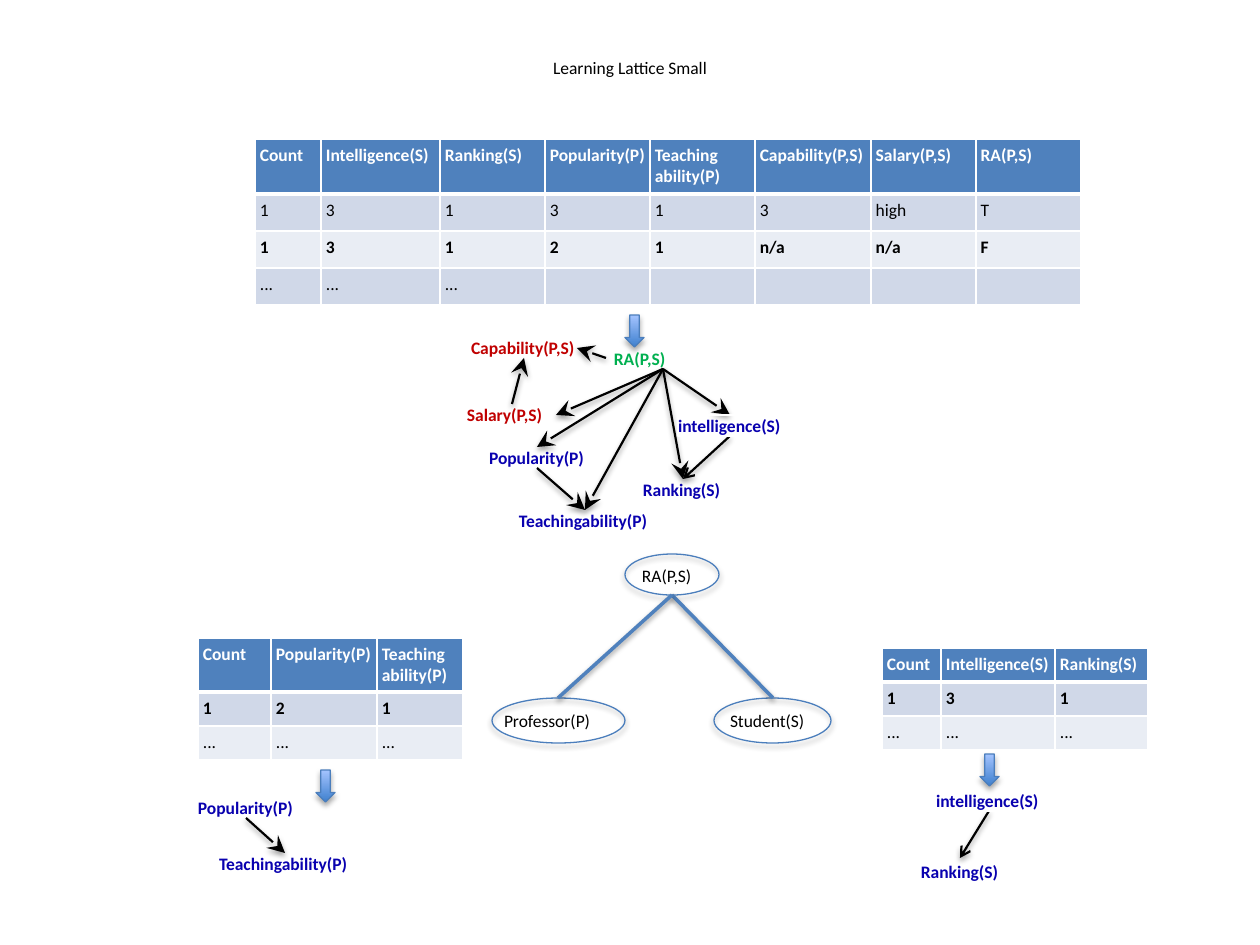
import pptx
import pptx.dml.color
import pptx.enum.shapes
import pptx.enum.text
import pptx.util
from lxml import etree
from pptx.oxml.ns import qn

PX = 914400 / 126
COLORS = {
    "black": "000000", "white": "FFFFFF", "blue": "4F81BD", "outline": "4B7EBC",
    "band": "D0D8E8", "light": "E9EDF4", "navy": "0901AF", "red": "C00000",
    "green": "00B050", "arrow_top": "A4C4FF", "arrow_bottom": "3F80CE",
}
SHAPES = pptx.enum.shapes.MSO_SHAPE
ALIGN = pptx.enum.text.PP_ALIGN
ANCHOR = pptx.enum.text.MSO_ANCHOR


def emu(*lengths):
    return [round(length * PX) for length in lengths]


def rgb(name):
    return pptx.dml.color.RGBColor.from_string(COLORS[name])


class LatticeSlide:
    font_name = "Calibri"
    font_size = pptx.util.Pt(10)

    def __init__(self, presentation):
        self.slide = presentation.slides.add_slide(presentation.slide_layouts[6])

    def set_text(self, paragraph, text, color="black", bold=False):
        paragraph.text = text
        paragraph.font.name = self.font_name
        paragraph.font.size = self.font_size
        paragraph.font.bold = bold
        paragraph.font.color.rgb = rgb(color)

    def add_shadow(self, shape, opacity, distance):
        """Replace the theme's effects; call after fill and line are set."""
        properties = shape._element.spPr
        effects = etree.SubElement(properties, qn("a:effectLst"))
        shadow = etree.SubElement(
            effects, qn("a:outerShdw"), blurRad=str(pptx.util.Pt(3.1)),
            dist=str(pptx.util.Pt(distance)), dir="5400000", rotWithShape="0")
        shade = etree.SubElement(shadow, qn("a:srgbClr"), val=COLORS["black"])
        etree.SubElement(shade, qn("a:alpha"), val=str(opacity * 1000))

    def text_box(self, text, bounds, color="black", bold=False, inset=(0, 0),
                 wrap=True):
        box = self.slide.shapes.add_textbox(*emu(*bounds))
        frame = box.text_frame
        frame.word_wrap = wrap
        frame.margin_left = frame.margin_right = emu(inset[0])[0]
        frame.margin_top = frame.margin_bottom = emu(inset[1])[0]
        self.set_text(frame.paragraphs[0], text, color, bold)
        return box

    def title(self, text, bounds):
        frame = self.text_box(text, bounds).text_frame
        frame.vertical_anchor = ANCHOR.MIDDLE
        frame.paragraphs[0].alignment = ALIGN.CENTER

    def variable(self, text, left, top, width, color="navy"):
        """A node of a Bayes net."""
        box = self.text_box(text, (left, top, width, 21), color, True, wrap=False)
        box.line.color.rgb = rgb("white")
        box.line.width = pptx.util.Pt(0.75)

    def lattice_node(self, text, caption_bounds, oval_bounds):
        caption = self.text_box(text, caption_bounds, inset=(12, 6))
        caption.fill.solid()
        caption.fill.fore_color.rgb = rgb("white")
        oval = self.slide.shapes.add_shape(SHAPES.OVAL, *emu(*oval_bounds))
        oval.fill.background()
        self.outline(oval)

    def outline(self, shape):
        shape.line.color.rgb = rgb("outline")
        shape.line.width = pptx.util.Pt(0.75)
        self.add_shadow(shape, 35, 1.8)

    def down_arrow(self, left, top):
        arrow = self.slide.shapes.add_shape(
            SHAPES.DOWN_ARROW, *emu(left, top, 19, 32))
        arrow.fill.gradient()
        arrow.fill.gradient_angle = 90
        for stop, color in zip(arrow.fill.gradient_stops,
                               ("arrow_bottom", "arrow_top")):
            stop.color.rgb = rgb(color)
        self.outline(arrow)

    def line(self, start, end, color="black", width=1.25, head=None, size="med"):
        link = self.slide.shapes.add_connector(
            pptx.enum.shapes.MSO_CONNECTOR.STRAIGHT, *emu(*start, *end))
        link.line.color.rgb = rgb(color)
        link.line.width = pptx.util.Pt(width)
        if head:
            outline = link._element.spPr.find(qn("a:ln"))
            etree.SubElement(outline, qn("a:tailEnd"),
                             type=head, w=size, len=size)
        self.add_shadow(link, 38, 1.6)

    def influence(self, start, end):
        self.line(start, end, head="stealth", size="lg")

    def border_cell(self, cell, row):
        """White borders, thicker between the header and the data."""
        properties = cell._tc.get_or_add_tcPr()
        widths = {"L": 1, "R": 1, "T": 3 if row == 1 else 1, "B": 1 if row else 3}
        for position, (side, width) in enumerate(widths.items()):
            border = etree.Element(qn("a:ln" + side), w=str(pptx.util.Pt(width)))
            fill = etree.SubElement(border, qn("a:solidFill"))
            etree.SubElement(fill, qn("a:srgbClr"), val=COLORS["white"])
            properties.insert(position, border)

    def table(self, left, top, widths, heights, rows, bold_row):
        bounds = emu(left, top, sum(widths), sum(heights))
        table = self.slide.shapes.add_table(
            len(rows), len(widths), *bounds).table
        for column, width in zip(table.columns, emu(*widths)):
            column.width = width
        for table_row, height in zip(table.rows, emu(*heights)):
            table_row.height = height
        for r, values in enumerate(rows):
            fill = "blue" if r == 0 else "band" if r % 2 else "light"
            for c, value in enumerate(values):
                cell = table.cell(r, c)
                cell.margin_left = cell.margin_right = emu(5)[0]
                cell.margin_top = cell.margin_bottom = emu(6)[0]
                self.set_text(cell.text_frame.paragraphs[0], value,
                              "black" if r else "white", r in (0, bold_row))
                cell.fill.solid()
                cell.fill.fore_color.rgb = rgb(fill)
                self.border_cell(cell, r)


def main():
    presentation = pptx.Presentation()
    presentation.slide_width, presentation.slide_height = emu(1260, 945)
    slide = LatticeSlide(presentation)

    slide.lattice_node("Student(S)", (718, 704, 117, 34), (714, 698, 117, 45))
    slide.lattice_node("Professor(P)", (492, 704, 133, 34), (492, 698, 133, 45))
    slide.lattice_node("RA(P,S)", (630, 559, 89, 34), (625, 554, 94, 41))
    for child in ((773, 698), (558, 698)):
        slide.line(child, (672, 595), "blue", 2)

    slide.title("Learning Lattice Small", (63, 38, 1134, 58))

    slide.table(198, 638, (73, 106, 86), (54, 34, 34), (
        ("Count", "Popularity(P)", "Teaching\nability(P)"),
        ("1", "2", "1"),
        ("...",) * 3), bold_row=1)
    slide.table(882, 648, (59, 114, 93), (34, 34, 34), (
        ("Count", "Intelligence(S)", "Ranking(S)"),
        ("1", "3", "1"),
        ("...",) * 3), bold_row=1)
    slide.table(255, 139, (66, 119, 105, 105, 105, 116, 105, 105),
                (55, 37, 37, 37), (
        ("Count", "Intelligence(S)", "Ranking(S)", "Popularity(P)",
         "Teaching\nability(P)", "Capability(P,S)", "Salary(P,S)", "RA(P,S)"),
        ("1", "3", "1", "3", "1", "3", "high", "T"),
        ("1", "3", "1", "2", "1", "n/a", "n/a", "F"),
        ("...",) * 3 + ("",) * 5), bold_row=2)

    slide.variable("RA(P,S)", 614, 348, 105, "green")
    slide.variable("Capability(P,S)", 471, 337, 107, "red")
    slide.variable("Salary(P,S)", 467, 404, 89, "red")
    for popularity, teaching in (((489, 447), (519, 510)),
                                 ((198, 797), (219, 853))):
        slide.variable("Popularity(P)", *popularity, 97)
        slide.variable("Teachingability(P)", *teaching, 131)
    for ranking in ((643, 479), (921, 861)):
        slide.variable("Ranking(S)", *ranking, 78)

    ra = (663, 369)
    popularity, teaching, ranking = (537, 447), (585, 510), (683, 479)
    for child in ((730, 415), popularity, teaching, ranking, (556, 415)):
        slide.influence(ra, child)
    slide.influence((606, 358), (577, 348))
    slide.influence((512, 404), (524, 358))
    slide.influence((537, 468), teaching)
    slide.influence((246, 818), (285, 853))
    slide.line((730, 436), ranking, head="arrow")
    slide.line((989, 811), (960, 858), head="arrow")

    for intelligence in ((678, 415), (936, 790)):
        slide.variable("intelligence(S)", *intelligence, 105)

    for left, top in ((625, 315), (316, 770), (980, 754)):
        slide.down_arrow(left, top)

    presentation.save("out.pptx")


if __name__ == "__main__":
    main()
